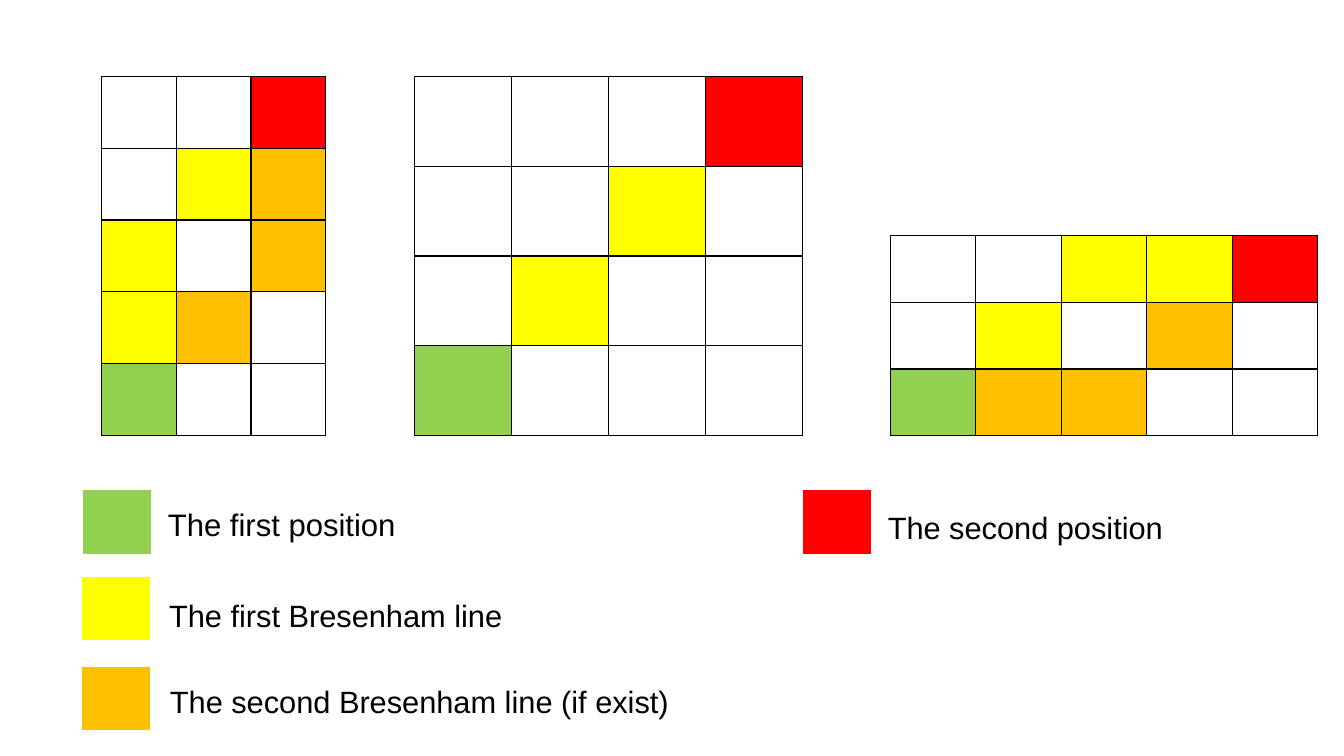
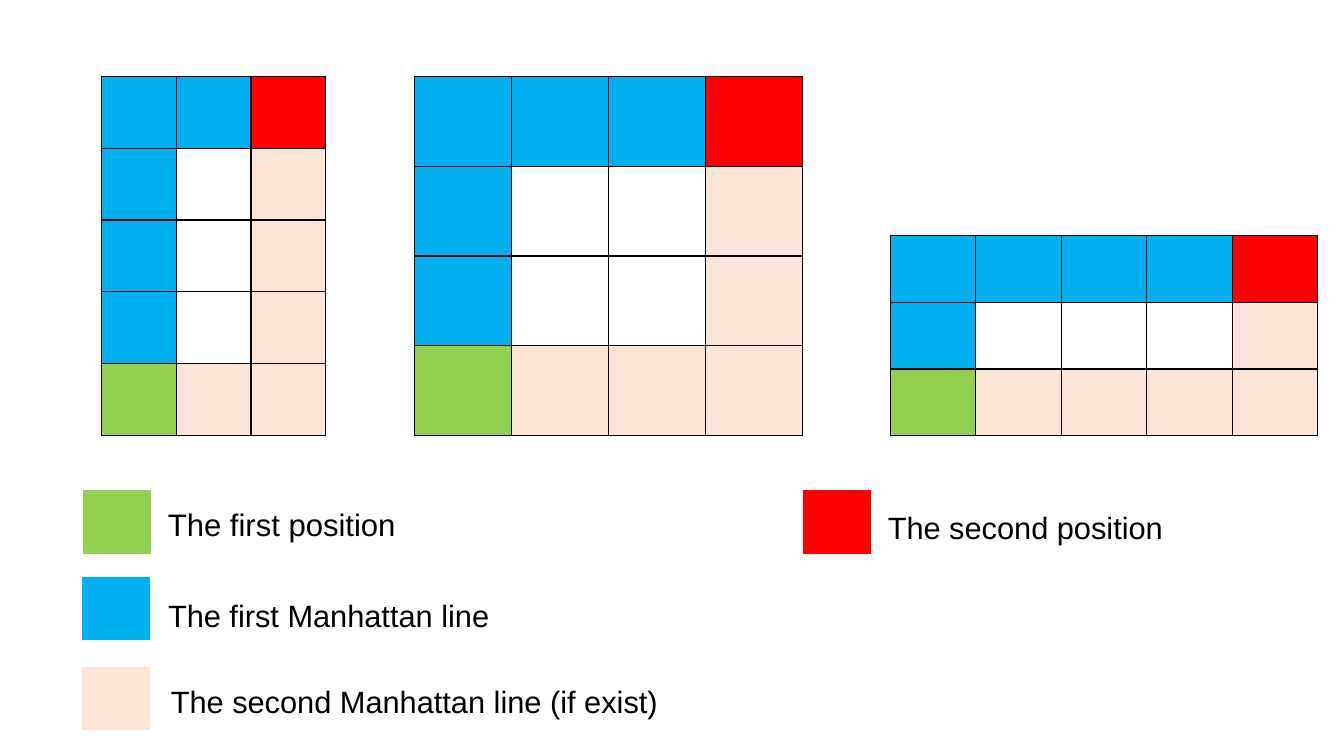
import dataclasses

import pptx
import pptx.dml.color
import pptx.enum.text
import pptx.oxml
import pptx.oxml.ns
import pptx.util

Inches = pptx.util.Inches
Pt = pptx.util.Pt


@dataclasses.dataclass(frozen=True)
class Theme:
    font: str = "Arial"
    label_size: float = 22
    large_label_size: float = 22.2
    empty: str = "FFFFFF"
    text: str = "000000"
    grid_line: str = "000000"
    swatch_line: str = "FFFFFF"
    first_position: str = "92D050"
    second_position: str = "FF0000"
    first_bresenham: str = "FFFF00"
    second_bresenham: str = "FFC000"
    first_manhattan: str = "00B0F0"
    second_manhattan: str = "FBE5D6"


THEME = Theme()

GRID_BOTTOM = 4.32
GRID_BOXES = [(1.01, 2.22, 3.56), (4.11, 3.85, 3.56), (8.83, 4.24, 1.98)]
SWATCH_SIZE = (0.68, 0.65)

GRID_BORDERS = dict.fromkeys("LRTB", 1)
SWATCH_BORDERS = {**GRID_BORDERS, "B": 3}

POSITION_LEGEND = [
    ("S", (0.82, 4.86), "The first position", (1.49, 5.04, 2.61, 0.41),
     THEME.large_label_size, 0.8),
    ("E", (7.96, 4.86), "The second position", (8.66, 5.04, 3.02, 0.46),
     THEME.label_size, 0.9),
]

BRESENHAM = {
    "name": "Bresenham",
    "colors": {"1": THEME.first_bresenham, "2": THEME.second_bresenham},
    "label_lefts": (1.49, 1.49),
    "grids": [
        ["..E", ".12", "1.2", "12.", "S.."],
        ["...E", "..1.", ".1..", "S..."],
        ["..11E", ".1.2.", "S22.."],
    ],
}


def manhattan_grid(columns, rows):
    top = "1" * (columns - 1) + "E"
    middle = "1" + "." * (columns - 2) + "2"
    bottom = "S" + "2" * (columns - 1)
    return [top] + [middle] * (rows - 2) + [bottom]


MANHATTAN = {
    "name": "Manhattan",
    "colors": {"1": THEME.first_manhattan, "2": THEME.second_manhattan},
    "label_lefts": (1.42, 1.44),
    "grids": [manhattan_grid(3, 5), manhattan_grid(4, 4), manhattan_grid(5, 3)],
}


def set_attributes(target, values):
    for name, value in values.items():
        setattr(target, name, value)


def rgb(color):
    return pptx.dml.color.RGBColor.from_string(color)


def set_borders(cell, color, borders):
    properties = cell._tc.get_or_add_tcPr()
    for side, width in borders.items():
        properties.append(pptx.oxml.parse_xml(
            f'<a:ln{side} {pptx.oxml.ns.nsdecls("a")} w="{Pt(width)}">'
            f'<a:solidFill><a:srgbClr val="{color}"/></a:solidFill>'
            f'</a:ln{side}>'
        ))


def add_grid(slide, box, pattern, colors, line_color, borders):
    table = slide.shapes.add_table(
        len(pattern), len(pattern[0]), *map(Inches, box)
    ).table
    set_attributes(table, {"first_row": False, "horz_banding": False})
    for row_index, row in enumerate(pattern):
        for column_index, key in enumerate(row):
            cell = table.cell(row_index, column_index)
            set_borders(cell, line_color, borders)
            cell.fill.solid()
            cell.fill.fore_color.rgb = rgb(colors[key])


def add_label(slide, box, text, size, line_spacing):
    frame = slide.shapes.add_textbox(*map(Inches, box)).text_frame
    set_attributes(frame, {
        "word_wrap": True,
        "vertical_anchor": pptx.enum.text.MSO_ANCHOR.TOP,
    })
    paragraph = frame.paragraphs[0]
    set_attributes(paragraph, {
        "text": text,
        "alignment": pptx.enum.text.PP_ALIGN.CENTER,
        "line_spacing": line_spacing,
        "space_before": Pt(10),
    })
    font = paragraph.runs[0].font
    set_attributes(font, {"name": THEME.font, "size": Pt(size)})
    font.color.rgb = rgb(THEME.text)


def line_legend(algorithm):
    name = algorithm["name"]
    first_left, second_left = algorithm["label_lefts"]
    return [
        ("1", (0.81, 5.72), f"The first {name} line",
         (first_left, 5.91, 3.68, 0.41), THEME.label_size, 0.9),
        ("2", (0.81, 6.61), f"The second {name} line (if exist)",
         (second_left, 6.77, 5.34, 0.41), THEME.label_size, 0.9),
    ]


def add_algorithm_slide(presentation, algorithm):
    slide = presentation.slides.add_slide(presentation.slide_layouts[6])
    colors = {
        ".": THEME.empty,
        "S": THEME.first_position,
        "E": THEME.second_position,
        **algorithm["colors"],
    }
    for (left, width, height), pattern in zip(GRID_BOXES, algorithm["grids"]):
        box = (left, GRID_BOTTOM - height, width, height)
        add_grid(slide, box, pattern, colors, THEME.grid_line, GRID_BORDERS)
    for key, corner, text, box, size, spacing in POSITION_LEGEND + line_legend(algorithm):
        add_grid(slide, corner + SWATCH_SIZE, [key], colors,
                 THEME.swatch_line, SWATCH_BORDERS)
        add_label(slide, box, text, size, spacing)


def main():
    presentation = pptx.Presentation()
    set_attributes(presentation, {
        "slide_width": Inches(13.33),
        "slide_height": Inches(7.5),
    })
    for algorithm in (BRESENHAM, MANHATTAN):
        add_algorithm_slide(presentation, algorithm)
    presentation.save("out.pptx")


if __name__ == "__main__":
    main()
